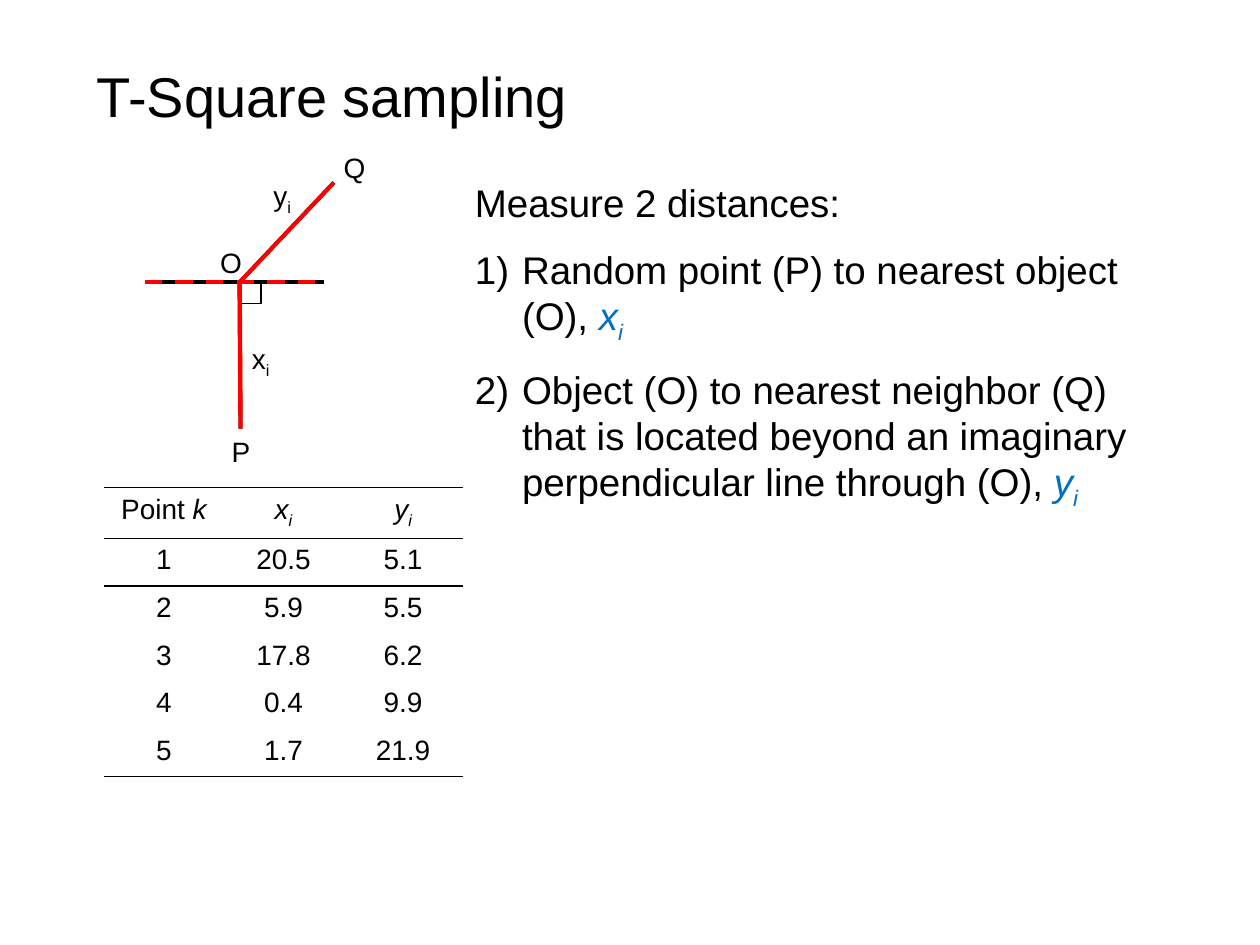
from lxml.etree import SubElement
from pptx import Presentation
from pptx.dml.color import RGBColor
from pptx.enum.dml import MSO_LINE
from pptx.enum.shapes import MSO_CONNECTOR, MSO_SHAPE
from pptx.enum.text import MSO_ANCHOR, MSO_AUTO_SIZE, PP_ALIGN
from pptx.oxml import parse_xml
from pptx.oxml.ns import nsdecls, qn
from pptx.util import Cm, Pt

BLACK, RED, BLUE = "000000", "FF0000", "0070C0"
NO_STYLE_NO_GRID = "{2D5ABB26-0587-4C30-8999-92F81FD0307C}"


def rgb(color):
    return RGBColor.from_string(color)


class SlideBuilder:
    font = "Arial"

    def __init__(self, s):
        self.s = s

    def runs(self, p, parts, size):
        """Add runs given as (text, flags[, color]); flags: i italic, s subscript."""
        for text, flags, *color in parts:
            r = p.add_run()
            r.text = text
            r.font.name, r.font.size = self.font, Pt(size)
            r.font.color.rgb = rgb(color[0] if color else BLACK)
            if "i" in flags:
                r.font.italic = True
            if "s" in flags:
                r._r.get_or_add_rPr().set("baseline", "-25000")

    def place(self, sp, left, top, width, height):
        sp.left, sp.top, sp.width, sp.height = map(Cm, (left, top, width, height))
        tf = sp.text_frame
        tf.word_wrap = True
        tf.auto_size = MSO_AUTO_SIZE.NONE
        tf.vertical_anchor = MSO_ANCHOR.TOP
        return tf

    def title(self, text, *box):
        p = self.place(self.s.shapes.title, *box).paragraphs[0]
        p.alignment = PP_ALIGN.LEFT
        self.runs(p, [(text, "")], 32)

    def body(self, intro, items, *box):
        """Fill the body placeholder with an intro line and a numbered list."""
        tf = self.place(self.s.placeholders[1], *box)
        for n, parts in enumerate([intro] + items):
            p = tf.paragraphs[0] if n == 0 else tf.add_paragraph()
            p.space_before, p.space_after = Pt(0), Pt(12)
            pPr = p._p.get_or_add_pPr()
            indent = Cm(0.95) if n else 0
            pPr.set("marL", str(indent))
            pPr.set("indent", str(-indent))
            if n:
                SubElement(pPr, qn("a:buFont"), typeface="+mj-lt")
                SubElement(pPr, qn("a:buAutoNum"), type="arabicParenR")
            else:
                SubElement(pPr, qn("a:buNone"))
            self.runs(p, parts, 22)

    def line(self, start, end, color, width, dash=None):
        c = self.s.shapes.add_connector(
            MSO_CONNECTOR.STRAIGHT, *map(Cm, start + end))
        c.line.color.rgb = rgb(color)
        c.line.width = Pt(width)
        if dash:
            c.line.dash_style = dash
        SubElement(c._element.spPr, qn("a:effectLst"))

    def square(self, left, top, side):
        sp = self.s.shapes.add_shape(
            MSO_SHAPE.RECTANGLE, *map(Cm, (left, top, side, side)))
        sp.shadow.inherit = False
        sp.fill.background()
        sp.line.color.rgb = rgb(BLACK)
        sp.line.width = Pt(1)

    def label(self, parts, left, top, width=0.9):
        sp = self.s.shapes.add_textbox(*map(Cm, (left, top, width, 0.94)))
        tf = sp.text_frame
        tf.word_wrap = False
        self.runs(tf.paragraphs[0], parts, 16)

    def rule(self, cell, side):
        """Draw a black border on one side (T or B) of a cell."""
        cell._tc.get_or_add_tcPr().append(parse_xml(
            f'<a:ln{side} {nsdecls("a")} w="12700"><a:solidFill>'
            f'<a:srgbClr val="{BLACK}"/></a:solidFill></a:ln{side}>'))

    def table(self, rows, left, top, col_width, row_height):
        n_rows, n_cols = len(rows), len(rows[0])
        frame = self.s.shapes.add_table(
            n_rows, n_cols, Cm(left), Cm(top),
            Cm(col_width * n_cols), Cm(row_height * n_rows))
        table = frame.table
        table.first_row = table.horz_banding = False
        table._tbl.tblPr.find(qn("a:tableStyleId")).text = NO_STYLE_NO_GRID
        for i, row in enumerate(rows):
            for j, parts in enumerate(row):
                cell = table.cell(i, j)
                if i <= 1:
                    self.rule(cell, "T")
                if i in (0, n_rows - 1):
                    self.rule(cell, "B")
                cell.fill.background()
                p = cell.text_frame.paragraphs[0]
                p.alignment = PP_ALIGN.CENTER
                self.runs(p, parts, 16)


def indexed(letter, flags="", color=BLACK):
    return [(letter, flags, color), ("i", flags + "s", color)]


def main():
    prs = Presentation()
    prs.slide_width, prs.slide_height = Cm(25.4), Cm(19.05)
    b = SlideBuilder(prs.slides.add_slide(prs.slide_layouts[1]))

    b.title("T-Square sampling", 1.7, 1.12, 22.07, 1.63)

    O, P, Q = (4.83, 5.69), (4.85, 8.64), (6.73, 3.68)
    west, east = (2.92, 5.69), (6.53, 5.69)
    for end_a, end_b in ((west, east), (O, P), (O, Q)):
        b.line(end_a, end_b, BLACK, 2.25)
    b.square(*O, 0.43)
    b.label([("P", "")], 4.42, 8.64)
    b.label([("O", "")], 4.19, 4.83, 0.97)
    b.label([("Q", "")], 6.68, 2.92, 0.97)
    b.label(indexed("x"), 4.83, 6.76)
    b.label(indexed("y"), 5.26, 3.48)

    data = [("1", "20.5", "5.1"), ("2", "5.9", "5.5"), ("3", "17.8", "6.2"),
            ("4", "0.4", "9.9"), ("5", "1.7", "21.9")]
    header = [[("Point ", ""), ("k", "i")], indexed("x", "i"), indexed("y", "i")]
    b.table([header] + [[[(value, "")] for value in row] for row in data],
            2.1, 9.83, 2.41, 0.96)

    b.body([("Measure 2 distances:", "")], [
        [("Random point (P) to nearest object (O), ", "")]
        + indexed("x", "i", BLUE),
        [("Object (O) to nearest neighbor (Q) that is located beyond an "
          "imaginary perpendicular line through (O), ", "")]
        + indexed("y", "i", BLUE),
    ], 9.32, 3.48, 14.71, 7.2)

    b.line(west, east, RED, 2.5, MSO_LINE.DASH)
    b.line(O, P, RED, 2.5)
    b.line(O, Q, RED, 2.25)

    prs.save("out.pptx")


if __name__ == "__main__":
    main()
